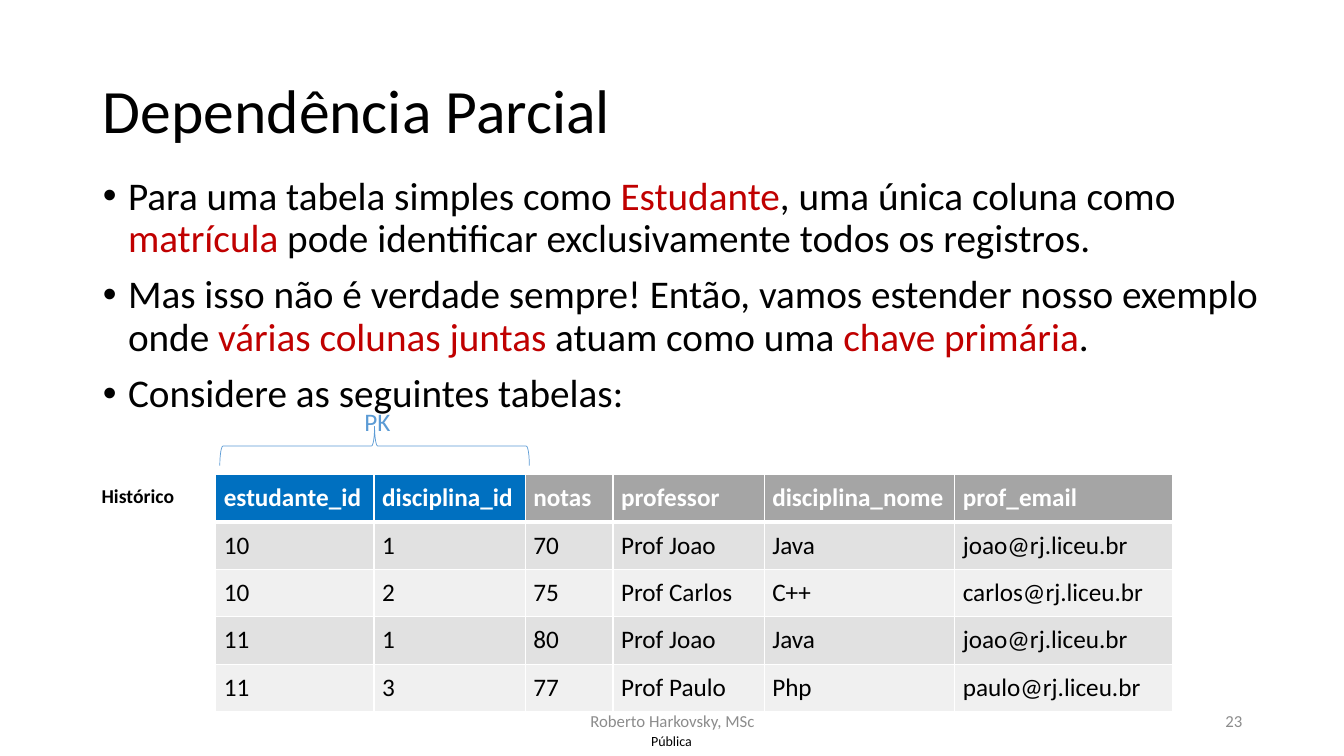
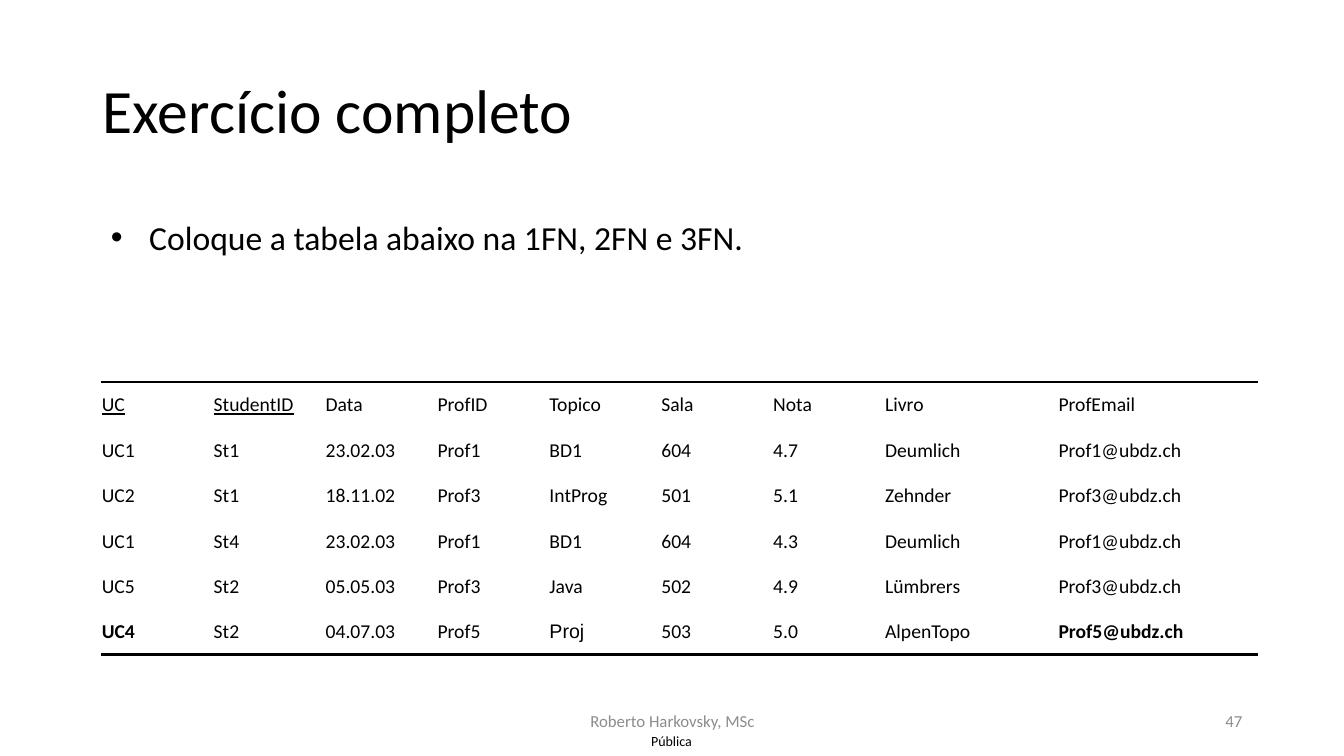
"""Build two slides on partial dependency and normal forms."""
from lxml.etree import SubElement
from pptx import Presentation
from pptx.dml.color import RGBColor
from pptx.enum.shapes import MSO_SHAPE
from pptx.enum.text import MSO_ANCHOR, MSO_AUTO_SIZE, PP_ALIGN
from pptx.oxml.ns import qn
from pptx.util import Pt

PX = 9144
FONT = "Calibri"
HUES = {name: RGBColor.from_string(code) for name, code in {
    "ink": "000000", "white": "FFFFFF", "red": "C00000", "mute": "8C8C8C",
    "key": "0070C0", "head": "A5A5A5", "dark": "E1E1E1", "light": "F0F0F0",
    "brace": "5B9BD5"}.items()}


def style(frame, size, hue="ink", align=PP_ALIGN.LEFT, bold=False):
    """Set the font and alignment of every paragraph in a frame."""
    for para in frame.paragraphs:
        para.alignment = align
        font = para.font
        font.name, font.size, font.bold = FONT, Pt(size), bold
        font.color.rgb = HUES[hue]


def grid(page, left, top, cols, high, rows, size, pads, fills, hue, edges):
    """Add a table whose row fills and row edges are given as lists."""
    frame = page.shapes.add_table(len(rows), len(cols), left * PX, top * PX,
                                  sum(cols) * PX, high * len(rows) * PX)
    table = frame.table
    table.first_row = table.horz_banding = False
    for col, wide in zip(table.columns, cols):
        col.width = wide * PX
    for row, words, fill, sides in zip(table.rows, rows, fills, edges):
        row.height = high * PX
        for cell, word in zip(row.cells, words):
            cell.text = word
            style(cell.text_frame, size)
            (cell.margin_left, cell.margin_top,
             cell.margin_right, cell.margin_bottom) = [pad * PX for pad in pads]
            props = cell._tc.get_or_add_tcPr()
            for side, wide in zip("LRTB", sides):
                line = SubElement(props, qn("a:ln" + side), w=str(Pt(wide)))
                if wide:
                    paint = SubElement(line, qn("a:solidFill"))
                    SubElement(paint, qn("a:srgbClr"), val=str(HUES[hue]))
                else:
                    SubElement(line, qn("a:noFill"))
            cell.fill.solid()
            cell.fill.fore_color.rgb = HUES[fill]
    return table


deck = Presentation()
deck.slide_width, deck.slide_height = 1333 * PX, 750 * PX

topics = [
    ("Dependência Parcial", "23", (92, 170, 1169, 331), 28, 25, 0.9, 10, [
        "Para uma tabela simples como |Estudante|, uma única coluna como "
        "|matrícula| pode identificar exclusivamente todos os registros.",
        "Mas isso não é verdade sempre! Então, vamos estender nosso exemplo "
        "onde |várias colunas juntas| atuam como uma |chave primária|.",
        "Considere as seguintes tabelas:"]),
    ("Exercício completo", "47", (100, 210, 652, 50), 24, 38, 1.0, 0, [
        "Coloque a tabela abaixo na 1FN, 2FN e 3FN."]),
]
pages = []
for name, number, box, size, hang, lead, gap, points in topics:
    page = deck.slides.add_slide(deck.slide_layouts[1])
    pages.append(page)
    title, body = page.placeholders
    title.left, title.top, title.width, title.height = [
        n * PX for n in (92, 40, 1150, 145)]
    frame = title.text_frame
    frame.text = name
    frame.auto_size = MSO_AUTO_SIZE.NONE
    frame.vertical_anchor = MSO_ANCHOR.MIDDLE
    frame.paragraphs[0].line_spacing = 0.9
    style(frame, 44)

    body.left, body.top, body.width, body.height = [n * PX for n in box]
    frame = body.text_frame
    frame.auto_size = MSO_AUTO_SIZE.NONE
    frame.text = "\n".join(points)
    style(frame, size)
    for para, point in zip(frame.paragraphs, points):
        para.clear()
        para.line_spacing, para.space_before = lead, Pt(gap)
        props = para._p.get_or_add_pPr()
        props.set("marL", str(hang * PX))
        props.set("indent", str(-hang * PX))
        for spot, part in enumerate(point.split("|")):
            run = para.add_run()
            run.text = part
            if spot % 2:
                run.font.color.rgb = HUES["red"]

    for word, spot, size, hue, align, pad in [
            ("Roberto Harkovsky, MSc", (442, 695, 450, 40), 12, "mute",
             PP_ALIGN.CENTER, 10),
            (number, (942, 695, 300, 40), 12, "mute", PP_ALIGN.RIGHT, 10),
            ("Pública", (631, 721, 70, 29), 10, "ink", PP_ALIGN.CENTER, 0)]:
        frame = page.shapes.add_textbox(*[n * PX for n in spot]).text_frame
        frame.text = word
        frame.word_wrap = True
        frame.vertical_anchor = MSO_ANCHOR.MIDDLE
        frame.margin_left = frame.margin_right = pad * PX
        frame.margin_top = frame.margin_bottom = pad * PX // 2
        style(frame, size, hue, align)

first, last = pages
grades = [
    ("estudante_id", "disciplina_id", "notas", "professor",
     "disciplina_nome", "prof_email"),
    ("10", "1", "70", "Prof Joao", "Java", "joao@rj.liceu.br"),
    ("10", "2", "75", "Prof Carlos", "C++", "carlos@rj.liceu.br"),
    ("11", "1", "80", "Prof Joao", "Java", "joao@rj.liceu.br"),
    ("11", "3", "77", "Prof Paulo", "Php", "paulo@rj.liceu.br"),
]
table = grid(first, 214, 471, (157, 150, 87, 150, 189, 216), 47, grades, 18,
             (8, 8, 8, 8), ["head"] + ["dark", "light"] * 2, "white",
             [(1, 1, 1, 3), (1, 1, 3, 1)] + [(1, 1, 1, 1)] * 3)
for spot, cell in enumerate(table.rows[0].cells):
    style(cell.text_frame, 18, "white", bold=True)
    if spot < 2:
        cell.fill.fore_color.rgb = HUES["key"]

label = first.shapes.add_textbox(91 * PX, 475 * PX, 93 * PX, 34 * PX)
label.text_frame.text = "Histórico"
style(label.text_frame, 14, bold=True)

brace = first.shapes.add_shape(MSO_SHAPE.LEFT_BRACE, 352 * PX, 289 * PX,
                               39 * PX, 307 * PX)
brace.rotation = 90
brace.shadow.inherit = False
brace.adjustments[0], brace.adjustments[1] = 0.08, 0.5
brace.fill.background()
brace.line.color.rgb = HUES["brace"]
brace.line.width = Pt(0.5)
frame = brace.text_frame
frame.text = "PK"
frame.margin_left, frame.margin_top = 10 * PX, 4 * PX
frame.margin_right, frame.margin_bottom = 79 * PX, 5 * PX
brace._element.txBody.bodyPr.set("vert", "vert270")
style(frame, 18, "brace", PP_ALIGN.CENTER)

exams = [
    ("UC", "StudentID", "Data", "ProfID", "Topico", "Sala", "Nota", "Livro",
     "ProfEmail"),
    ("UC1", "St1", "23.02.03", "Prof1", "BD1", "604", "4.7", "Deumlich",
     "Prof1@ubdz.ch"),
    ("UC2", "St1", "18.11.02", "Prof3", "IntProg", "501", "5.1", "Zehnder",
     "Prof3@ubdz.ch"),
    ("UC1", "St4", "23.02.03", "Prof1", "BD1", "604", "4.3", "Deumlich",
     "Prof1@ubdz.ch"),
    ("UC5", "St2", "05.05.03", "Prof3", "Java", "502", "4.9", "Lümbrers",
     "Prof3@ubdz.ch"),
    ("UC4", "St2", "04.07.03", "Prof5", "Proj", "503", "5.0", "AlpenTopo",
     "Prof5@ubdz.ch"),
]
table = grid(last, 100, 379, [111] * 7 + [172, 199], 45, exams, 14,
             (1, 1, 1, 0), ["white"] * 6, "ink",
             [(0, 0, 2.25, 0)] + [(0, 0, 0, 0)] * 4 + [(0, 0, 0, 2.25)])
for cell in table.iter_cells():
    cell.vertical_anchor = MSO_ANCHOR.MIDDLE
for col in (0, 1):
    table.cell(0, col).text_frame.paragraphs[0].font.underline = True
for col in (0, 8):
    table.cell(5, col).text_frame.paragraphs[0].font.bold = True
table.cell(5, 4).text_frame.paragraphs[0].font.name = "Arial"

deck.save("out.pptx")
